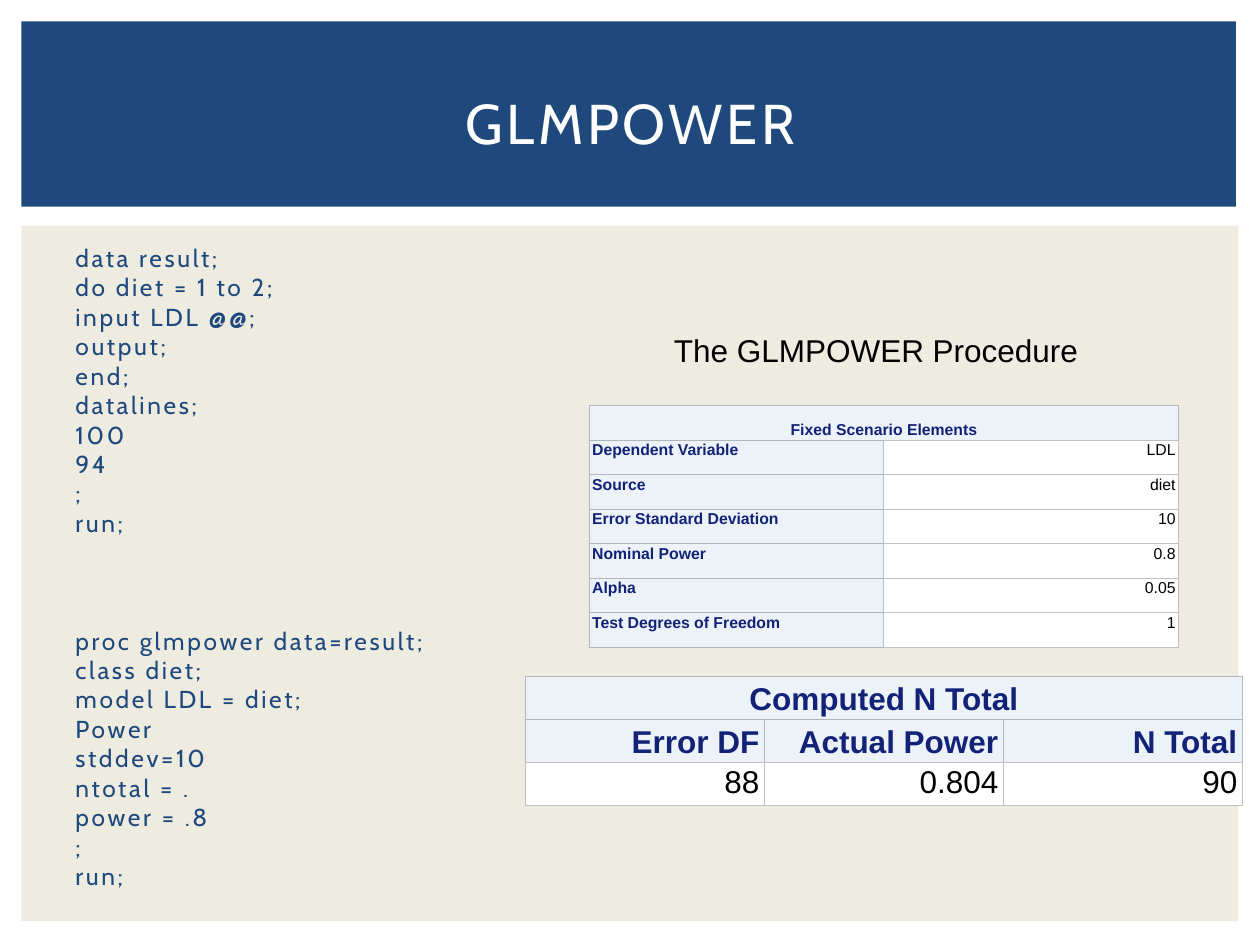
from lxml import etree
from pptx import Presentation
from pptx.dml.color import RGBColor
from pptx.enum import shapes, text
from pptx.oxml.ns import qn
from pptx.util import Inches, Pt

NAVY = RGBColor(0x1F, 0x49, 0x7D)
CREAM = RGBColor(0xEE, 0xEC, 0xE1)
WHITE = RGBColor(0xFF, 0xFF, 0xFF)
BLACK = RGBColor(0, 0, 0)
HEADER_INK = RGBColor(0x11, 0x22, 0x77)
HEADER_FILL = RGBColor(0xED, 0xF2, 0xF9)
HEADER_BORDER = RGBColor(0xB0, 0xB7, 0xBB)
DATA_BORDER = RGBColor(0xC1, 0xC1, 0xC1)

LEFT, CENTER, RIGHT = text.PP_ALIGN.LEFT, text.PP_ALIGN.CENTER, text.PP_ALIGN.RIGHT
TOP, MIDDLE, BOTTOM = text.MSO_ANCHOR.TOP, text.MSO_ANCHOR.MIDDLE, text.MSO_ANCHOR.BOTTOM

DATA_STEP = ["data result;", "do diet = 1 to 2;", "input LDL @@;", "output;", "end;",
             "datalines;", "100", "94", ";", "run;"]
POWER_STEP = ["proc glmpower data=result;", "class diet;", "model LDL = diet;", "Power",
              "stddev=10", "ntotal = .", "power = .8", ";", "run;"]
SCENARIO = [("Dependent Variable", "LDL"), ("Source", "diet"),
            ("Error Standard Deviation", "10"), ("Nominal Power", "0.8"),
            ("Alpha", "0.05"), ("Test Degrees of Freedom", "1")]
COMPUTED = [("Error DF", "Actual Power", "N Total"), ("88", "0.804", "90")]


def set_font(paragraph, name, size, color, bold=False, spacing=0):
    """Format the whole paragraph; spacing is the tracking in points."""
    font = paragraph.font
    font.name, font.size, font.bold = name, Pt(size), bold
    font.color.rgb = color
    if spacing:
        for run in paragraph.runs:
            run._r.get_or_add_rPr().set("spc", str(int(spacing * 100)))


def place(shape, left, top, width, height):
    shape.left, shape.top = Inches(left), Inches(top)
    shape.width, shape.height = Inches(width), Inches(height)


def add_band(slide, left, top, width, height, color):
    band = slide.shapes.add_shape(shapes.MSO_SHAPE.RECTANGLE, Inches(left), Inches(top),
                                  Inches(width), Inches(height))
    band.shadow.inherit = False
    band.fill.solid()
    band.fill.fore_color.rgb = color
    band.line.fill.background()


def add_text_box(slide, left, top, width, height):
    box = slide.shapes.add_textbox(Inches(left), Inches(top), Inches(width), Inches(height))
    box.text_frame.word_wrap = True
    return box.text_frame


def add_title(slide, words):
    title = slide.shapes.title
    slide.shapes._spTree.append(title._element)  # in front of the bands
    place(title, 0.42, 0.39, 9.17, 1.15)
    title.text_frame.text = words
    title.text_frame.vertical_anchor = MIDDLE
    paragraph = title.text_frame.paragraphs[0]
    paragraph.alignment = CENTER
    set_font(paragraph, "Cabin", 32, WHITE, spacing=2)


def add_code(slide, *steps):
    """List program steps one line per paragraph, with a gap between steps."""
    frame = add_text_box(slide, 0.5, 1.88, 4.42, 4.82)
    frame.text = "\n".join(line for step in steps for line in step)
    for paragraph in frame.paragraphs:
        set_font(paragraph, "Cabin", 14, NAVY, spacing=1.5)
    frame.paragraphs[len(steps[0])].space_before = Pt(50.5)


def add_heading(slide, words):
    frame = add_text_box(slide, 5.25, 2.58, 6.19, 0.4)
    frame.vertical_anchor = MIDDLE
    frame.text = words
    set_font(frame.paragraphs[0], "Arial", 18, BLACK)


def set_borders(cell, color):
    properties = cell._tc.get_or_add_tcPr()
    for side in ("a:lnL", "a:lnR", "a:lnT", "a:lnB"):
        line = etree.SubElement(properties, qn(side), w=str(Pt(0.5)))
        fill = etree.SubElement(line, qn("a:solidFill"))
        etree.SubElement(fill, qn("a:srgbClr"), val=str(color))


def style_cell(cell, words, size, inset, header, alignment, anchor):
    set_borders(cell, HEADER_BORDER if header else DATA_BORDER)
    cell.fill.solid()
    cell.fill.fore_color.rgb = HEADER_FILL if header else WHITE
    cell.margin_left = cell.margin_right = Inches(inset)
    cell.margin_top = cell.margin_bottom = Inches(inset / 2)
    cell.vertical_anchor = anchor
    cell.text = words
    paragraph = cell.text_frame.paragraphs[0]
    paragraph.alignment = alignment
    set_font(paragraph, "Arial", size, HEADER_INK if header else BLACK, bold=header)


def add_report(slide, caption, records, bounds, size, inset, label_column):
    """Draw a captioned table with its labels in the first column or else the first row."""
    columns = len(records[0])
    frame = slide.shapes.add_table(len(records) + 1, columns, *map(Inches, bounds))
    table = frame.table
    for column in range(columns):
        style_cell(table.cell(0, column), "" if column else caption, size, inset,
                   True, CENTER, BOTTOM)
    table.cell(0, 0).merge(table.cell(0, columns - 1))
    for row, record in enumerate(records):
        for column, words in enumerate(record):
            header = (column if label_column else row) == 0
            style_cell(table.cell(row + 1, column), words, size, inset, header,
                       LEFT if header and label_column else RIGHT,
                       BOTTOM if header and not label_column else TOP)


def main():
    deck = Presentation()
    deck.slide_width, deck.slide_height = Inches(10), Inches(7.5)
    slide = deck.slides.add_slide(deck.slide_layouts[5])
    add_band(slide, 0.17, 1.79, 9.66, 5.52, CREAM)
    add_band(slide, 0.17, 0.17, 9.64, 1.47, NAVY)
    add_code(slide, DATA_STEP, POWER_STEP)
    add_report(slide, "Fixed Scenario Elements", SCENARIO, (4.68, 3.22, 4.67, 1.92),
               size=9, inset=0.02, label_column=True)
    add_title(slide, "GLMPOWER")
    add_report(slide, "Computed N Total", COMPUTED, (4.17, 5.37, 5.69, 1.02),
               size=18, inset=0.04, label_column=False)
    add_heading(slide, "The GLMPOWER Procedure")
    deck.save("out.pptx")


if __name__ == "__main__":
    main()
